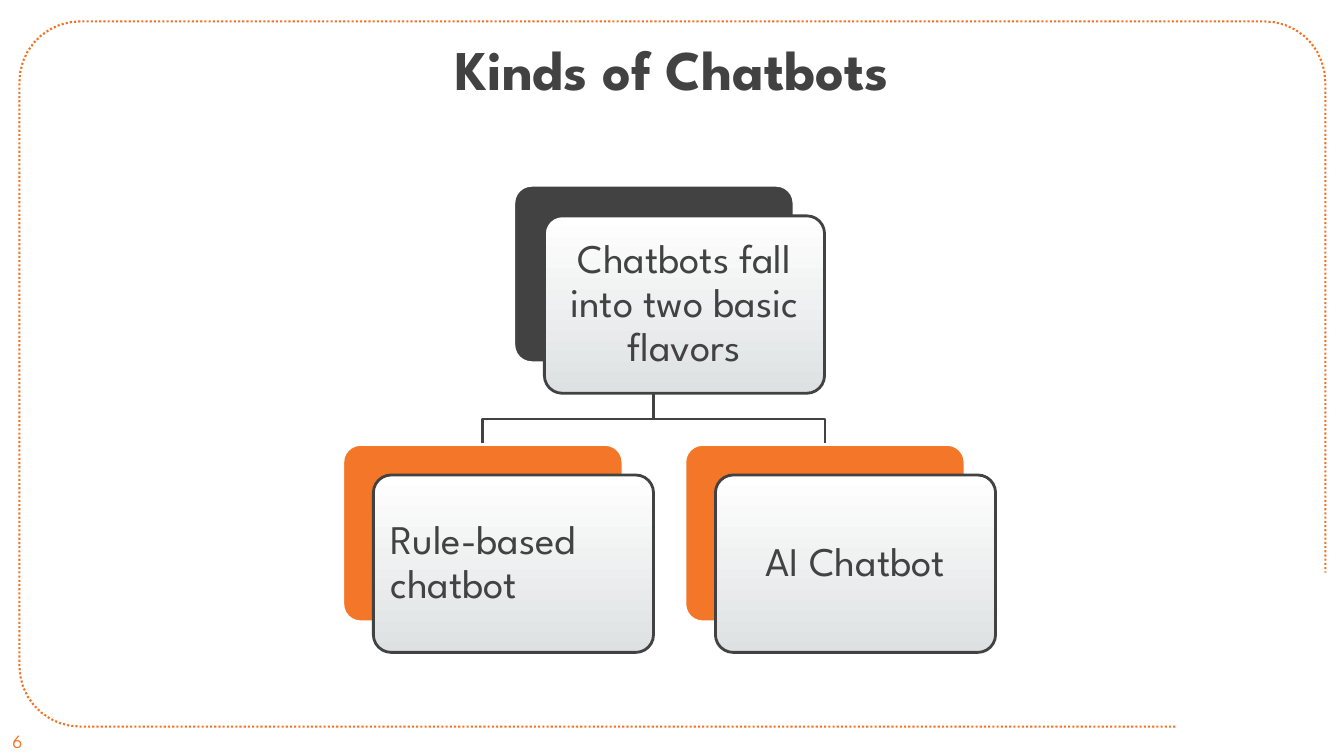
from math import cos, radians, sin

from pptx import Presentation
from pptx.dml.color import RGBColor
from pptx.enum.dml import MSO_LINE
from pptx.enum.shapes import MSO_SHAPE
from pptx.enum.text import MSO_ANCHOR, PP_ALIGN
from pptx.util import Cm, Pt

ROUNDED = MSO_SHAPE.ROUNDED_RECTANGLE
DOTTED = MSO_LINE.ROUND_DOT
LEFT, CENTER = PP_ALIGN.LEFT, PP_ALIGN.CENTER
TOP, MIDDLE = MSO_ANCHOR.TOP, MSO_ANCHOR.MIDDLE

FONT = "League Spartan"
COLORS = {
    "dark": "424242",
    "orange": "F47628",
    "border": "F37224",
    "white": "FFFFFF",
    "mist": "DDE1E2",
}
CARD_WIDTH, CARD_HEIGHT, CARD_OFFSET = 7.06, 4.47, 0.77
ROOT_LEFT, ROOT_TOP = 12.95, 4.67
CHILD_TOP, CHILD_SHIFT = 11.2, 4.31
BRANCH_TOP = 10.56


def color(name):
    return RGBColor.from_string(COLORS[name])


def corner(center_x, center_y, radius, start):
    """Points of a quarter circle, clockwise on the slide from a start angle."""
    angles = [radians(start + 10 * step) for step in range(10)]
    return [(center_x + radius * cos(angle), center_y + radius * sin(angle))
            for angle in angles]


class SlideBuilder:
    def __init__(self, slide):
        self.slide = slide

    def style_line(self, shape, line_color, width):
        shape.shadow.inherit = False
        shape.line.color.rgb = color(line_color)
        shape.line.width = Pt(width)

    def polyline(self, points, line_color, width, dash=None):
        (start_x, start_y), *rest = [(Cm(x), Cm(y)) for x, y in points]
        builder = self.slide.shapes.build_freeform(start_x, start_y)
        builder.add_line_segments(rest, close=False)
        shape = builder.convert_to_shape()
        shape.fill.background()
        self.style_line(shape, line_color, width)
        shape.line.dash_style = dash

    def panel(self, left, top, line_color):
        shape = self.slide.shapes.add_shape(
            ROUNDED, Cm(left), Cm(top), Cm(CARD_WIDTH), Cm(CARD_HEIGHT))
        shape.adjustments[0] = 0.1
        self.style_line(shape, line_color, 2)
        return shape

    def text(self, content, left, top, width, height, size, text_color="dark",
             bold=False, align=CENTER, anchor=TOP, margin=None, spacing=None):
        box = self.slide.shapes.add_textbox(
            Cm(left), Cm(top), Cm(width), Cm(height))
        frame = box.text_frame
        frame_format = {"word_wrap": True, "vertical_anchor": anchor}
        if margin is not None:
            for side in ("left", "right", "top", "bottom"):
                frame_format[f"margin_{side}"] = Cm(margin)
        paragraph = frame.paragraphs[0]
        run = paragraph.add_run()
        run.text = content
        formats = [
            (frame, frame_format),
            (paragraph, {"alignment": align, "line_spacing": spacing}),
            (run.font, {"name": FONT, "size": Pt(size), "bold": bold}),
        ]
        for target, values in formats:
            for name, value in values.items():
                setattr(target, name, value)
        run.font.color.rgb = color(text_color)

    def card(self, content, left, top, back_color, align=CENTER):
        """A gradient panel with text in front of a solid, shifted panel."""
        back = self.panel(left, top, "white")
        back.fill.solid()
        back.fill.fore_color.rgb = color(back_color)

        left, top = left + CARD_OFFSET, top + CARD_OFFSET
        front = self.panel(left, top, "dark")
        front.fill.gradient()
        front.fill.gradient_angle = 90
        for stop, name in zip(front.fill.gradient_stops, ("mist", "white")):
            stop.color.rgb = color(name)

        inset = 0.13
        self.text(content, left + inset, top + inset, CARD_WIDTH - 2 * inset,
                  CARD_HEIGHT - 2 * inset, 29, align=align, anchor=MIDDLE,
                  margin=0.3, spacing=0.9)

    def border(self):
        left, top, right, bottom, radius = 0.49, 0.54, 33.4, 18.31, 1.53
        points = [
            (29.62, bottom),
            *corner(left + radius, bottom - radius, radius, 90),
            *corner(left + radius, top + radius, radius, 180),
            *corner(right - radius, top + radius, radius, 270),
            (right, 14.43),
        ]
        self.polyline(points, "border", 1.5, DOTTED)

    def branch(self, shift):
        """An angled line from the root card to a child moved sideways."""
        center = ROOT_LEFT + CARD_WIDTH / 2
        self.polyline([
            (center, ROOT_TOP + CARD_HEIGHT),
            (center, BRANCH_TOP),
            (center + shift, BRANCH_TOP),
            (center + shift, CHILD_TOP),
        ], "dark", 2)


def main():
    presentation = Presentation()
    presentation.slide_width = Cm(33.87)
    presentation.slide_height = Cm(19.05)
    slide = presentation.slides.add_slide(presentation.slide_layouts[6])
    builder = SlideBuilder(slide)

    children = [
        ("Rule-based chatbot", -CHILD_SHIFT, LEFT),
        ("AI Chatbot", CHILD_SHIFT, CENTER),
    ]
    builder.border()
    for _, shift, _ in children:
        builder.branch(shift)
    builder.card("Chatbots fall into two basic flavors",
                 ROOT_LEFT, ROOT_TOP, "dark")
    for content, shift, align in children:
        builder.card(content, ROOT_LEFT + shift, CHILD_TOP, "orange", align)

    builder.text("6", 0, 18.26, 0.89, 0.76, 13.3, "orange")
    builder.text("Kinds of Chatbots", 7.16, 0.74, 19.56, 2.59, 40, bold=True)
    presentation.save("out.pptx")


if __name__ == "__main__":
    main()
